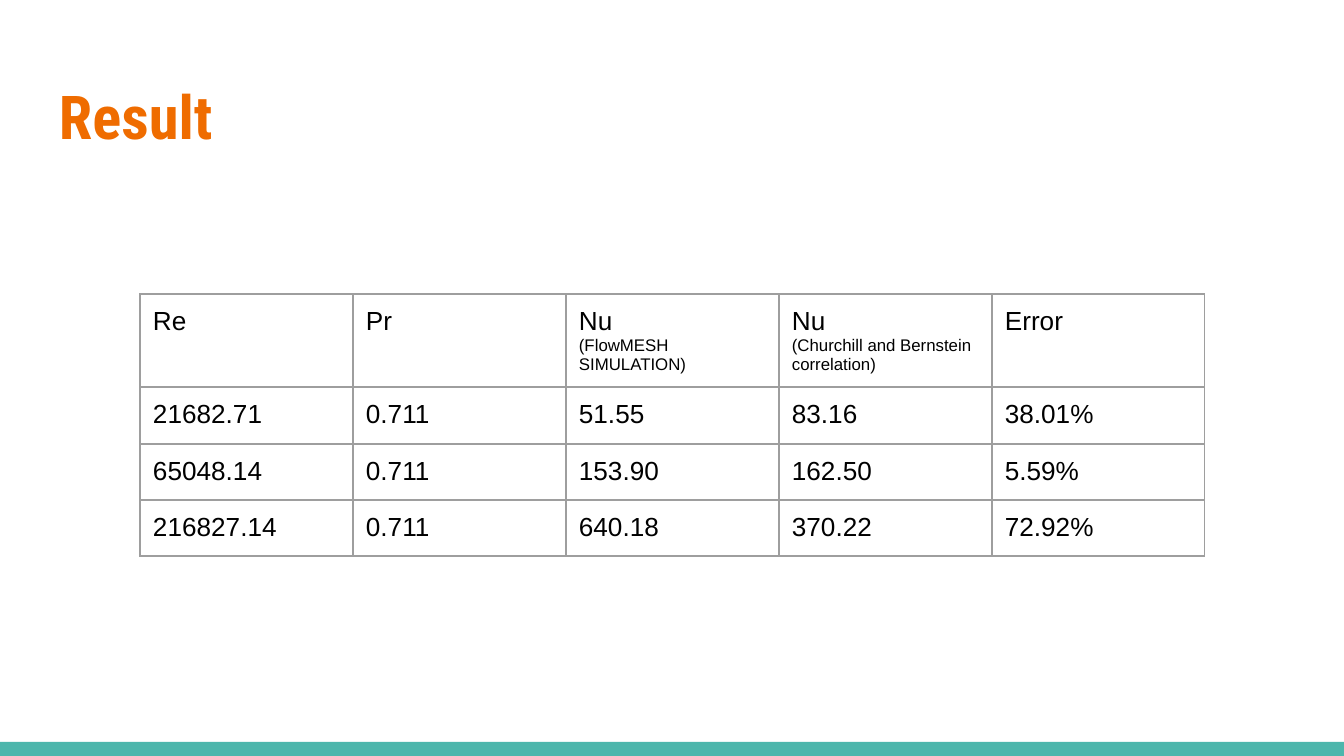
from lxml import etree
from pptx import Presentation
from pptx.dml.color import RGBColor
from pptx.enum.shapes import MSO_SHAPE
from pptx.enum.text import MSO_ANCHOR, PP_ALIGN
from pptx.oxml.ns import qn
from pptx.util import Pt

RECTANGLE = MSO_SHAPE.RECTANGLE
MIDDLE = MSO_ANCHOR.MIDDLE
LEFT = PP_ALIGN.LEFT
SCALE = 9144000 / 1344
INSET = 13


def px(length):
    return round(length * SCALE)


def style(paragraph, font_name, size, color, bold=False):
    paragraph.alignment = LEFT
    font = paragraph.font
    font.name, font.size, font.bold = font_name, Pt(size), bold
    font.color.rgb = RGBColor.from_string(color)


prs = Presentation()
prs.slide_width, prs.slide_height = px(1344), px(756)
slide = prs.slides.add_slide(prs.slide_layouts[5])

# Footer band
footer = slide.shapes.add_shape(RECTANGLE, 0, px(742), px(1344), px(14))
footer.shadow.inherit = False
footer.fill.solid()
footer.fill.fore_color.rgb = RGBColor.from_string("4DB6AC")
footer.line.fill.background()

# Title
title = slide.shapes.title
title.left, title.top, title.width, title.height = px(46), px(64), px(1252), px(103)
heading = title.text_frame
heading.text = "Result"
heading.vertical_anchor = MIDDLE
heading.margin_left = heading.margin_right = px(INSET)
heading.margin_top = heading.margin_bottom = px(INSET)
style(heading.paragraphs[0], "Roboto Condensed", 32.4, "EF6C00", bold=True)

# Nusselt number results; a second line in a cell is a small note
results = [
    ["Re", "Pr", "Nu\n(FlowMESH SIMULATION)",
     "Nu\n(Churchill and Bernstein correlation)", "Error"],
    ["21682.71", "0.711", "51.55", "83.16", "38.01%"],
    ["65048.14", "0.711", "153.90", "162.50", "5.59%"],
    ["216827.14", "0.711", "640.18", "370.22", "72.92%"],
]
row_heights = [93, 57, 56, 56]
column_width = 213
table = slide.shapes.add_table(
    len(results), len(results[0]), px(140), px(294),
    px(column_width * len(results[0])), px(sum(row_heights))).table
table.first_row = table.horz_banding = False
for column in table.columns:
    column.width = px(column_width)

for row, height, values in zip(table.rows, row_heights, results):
    row.height = px(height)
    for cell, value in zip(row.cells, values):
        cell.text = value
        cell.margin_left = cell.margin_right = px(INSET)
        cell.margin_top = cell.margin_bottom = px(INSET)
        for paragraph, size in zip(cell.text_frame.paragraphs, (14, 9)):
            style(paragraph, "Arial", size, "000000")

        # Borders come before the fill in the cell properties
        properties = cell._tc.get_or_add_tcPr()
        for side in ("lnL", "lnR", "lnT", "lnB"):
            border = etree.SubElement(properties, qn(f"a:{side}"), w=str(Pt(0.75)))
            line_fill = etree.SubElement(border, qn("a:solidFill"))
            etree.SubElement(line_fill, qn("a:srgbClr"), val="9E9E9E")
        cell.fill.background()

prs.save("out.pptx")
